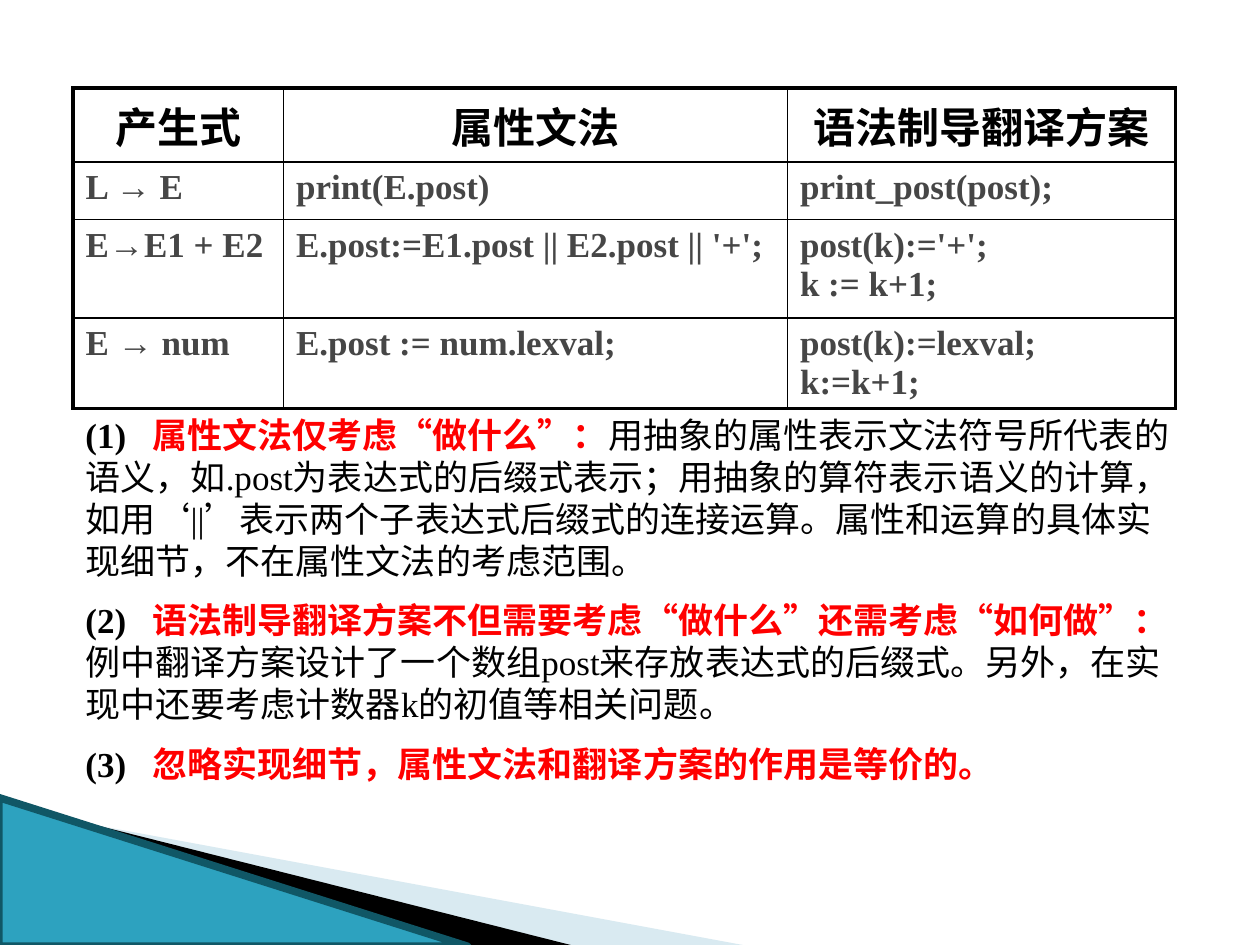
from dataclasses import dataclass

from lxml import etree
from pptx import Presentation
from pptx import util as u
from pptx.dml.color import RGBColor
from pptx.enum import shapes, text
from pptx.oxml import ns

WIDE, HIGH = u.Inches(10), u.Inches(7.5)
BLACK = RGBColor(0, 0, 0)
RED = RGBColor(0xFF, 0, 0)
GREY = RGBColor(0x46, 0x46, 0x46)
TEAL = RGBColor(0x2D, 0xA2, 0xBF)
DEEP = RGBColor(0x10, 0x57, 0x66)
PALE = RGBColor(0xA0, 0xCB, 0xDC)
SKY = RGBColor(0x97, 0xC5, 0xD8)
SERIF, SANS = "Times New Roman", "Noto Sans CJK SC"
MID, LEFT, JUST = text.PP_ALIGN.CENTER, text.PP_ALIGN.LEFT, text.PP_ALIGN.JUSTIFY
COLS = (1.67, 4, 3.08)
ROWS = (0.58, 0.46, 0.78, 0.71)


@dataclass
class Entry:
    lines: tuple
    align: int = JUST


@dataclass
class Point:
    mark: str
    lead: str
    rest: str = ""


@dataclass
class Wedge:
    frame: tuple
    dots: tuple
    fill: RGBColor
    alpha: int = 100


GRID = (
    (Entry(("产生式",), MID), Entry(("属性文法",), MID), Entry(("语法制导翻译方案",), MID)),
    (Entry(("L → E",), LEFT), Entry(("print(E.post)",)), Entry(("print_post(post);",), LEFT)),
    (Entry(("E→E1 + E2",), LEFT), Entry(("E.post:=E1.post || E2.post || '+';",)),
     Entry(("post(k):='+';", "k := k+1;"))),
    (Entry(("E → num",)), Entry(("E.post := num.lexval;",)), Entry(("post(k):=lexval; k:=k+1;",))),
)
POINTS = (
    Point("(1)", "属性文法仅考虑“做什么”：",
          "用抽象的属性表示文法符号所代表的语义，如.post为表达式的后缀式表示；"
          "用抽象的算符表示语义的计算，如用‘||’表示两个子表达式后缀式的连接运算。"
          "属性和运算的具体实现细节，不在属性文法的考虑范围。"),
    Point("(2)", "语法制导翻译方案不但需要考虑“做什么”还需考虑“如何做”：",
          "例中翻译方案设计了一个数组post来存放表达式的后缀式。"
          "另外，在实现中还要考虑计数器k的初值等相关问题。"),
    Point("(3)", "忽略实现细节，属性文法和翻译方案的作用是等价的。"),
)
WEDGES = (
    Wedge((0.78, 5.47, 4.16, 1.58),
          ((0.55, 6.51), (5.95, 7.51), (4.56, 7.51), (0.55, 6.5)), PALE, 40),
    Wedge((-0.06, 6.33, 4.16, 0.92),
          ((0.53, 6.49), (4.57, 7.51), (3.72, 7.52), (0.54, 6.5)), BLACK),
)


def sub(node, tag: str, **attrs):
    return etree.SubElement(node, ns.qn(tag), **attrs)


def write(para, words: str, size: float = 20, color: RGBColor = BLACK, bold: bool = True) -> None:
    run = para.add_run()
    run.text = words
    font = run.font
    font.name, font.size, font.bold = SERIF, u.Pt(size), bold
    font.color.rgb = color
    sub(font._element, "a:ea", typeface=SANS)


def edge(cell, side: str, width: float) -> None:
    line = sub(cell._tc.get_or_add_tcPr(), "a:ln" + side, w=str(u.Pt(width)))
    sub(sub(line, "a:solidFill"), "a:srgbClr", val=str(BLACK))


def fill_cell(cell, entry: Entry, row: int, col: int) -> None:
    outer = {"L": col == 0, "R": col == len(COLS) - 1,
             "T": row == 0, "B": row == len(ROWS) - 1}
    for side, thick in outer.items():
        edge(cell, side, 2.25 if thick else 1)
    cell.fill.background()
    frame = cell.text_frame
    for i, words in enumerate(entry.lines):
        para = frame.add_paragraph() if i else frame.paragraphs[0]
        para.alignment = entry.align
        write(para, words, size=20 if row else 24, color=GREY if row else BLACK)


def draw_table(slide) -> None:
    frame = slide.shapes.add_table(len(ROWS), len(COLS), u.Inches(0.58), u.Inches(0.7),
                                   u.Inches(sum(COLS)), u.Inches(sum(ROWS)))
    table = frame.table
    table.first_row = table.horz_banding = False
    for col, width in zip(table.columns, COLS):
        col.width = u.Inches(width)
    for row, height in zip(table.rows, ROWS):
        row.height = u.Inches(height)
    for r, line in enumerate(GRID):
        for c, entry in enumerate(line):
            fill_cell(table.cell(r, c), entry, r, c)


def draw_points(slide) -> None:
    box = slide.shapes.add_textbox(u.Inches(0.58), u.Inches(3.23), u.Inches(8.92), u.Inches(3.1))
    frame = box.text_frame
    frame.word_wrap = True
    for i, point in enumerate(POINTS):
        para = frame.add_paragraph() if i else frame.paragraphs[0]
        tabs = sub(para._p.get_or_add_pPr(), "a:tabLst")
        sub(tabs, "a:tab", pos=str(u.Inches(0.53)), algn="l")
        para.line_spacing = u.Pt(24)
        if i:
            para.space_before = u.Pt(10)
        write(para, point.mark + "\t")
        write(para, point.lead, color=RED)
        if point.rest:
            write(para, point.rest, bold=False)


def set_frame(shape, frame: tuple) -> None:
    left, top, wide, high = (u.Inches(n) for n in frame)
    right, down = shape.left - left, shape.top - top
    track = shape._element.spPr.find(".//" + ns.qn("a:path"))
    track.set("w", str(wide))
    track.set("h", str(high))
    for dot in track.iter(ns.qn("a:pt")):
        dot.set("x", str(int(dot.get("x")) + right))
        dot.set("y", str(int(dot.get("y")) + down))
    shape.left, shape.top, shape.width, shape.height = left, top, wide, high


def draw_wedge(slide, wedge: Wedge) -> None:
    dots = [(u.Inches(x), u.Inches(y)) for x, y in wedge.dots]
    pen = slide.shapes.build_freeform(*dots[0])
    pen.add_line_segments(dots[1:])
    shape = pen.convert_to_shape()
    set_frame(shape, wedge.frame)
    shape.shadow.inherit = False
    shape.line.fill.background()
    shape.fill.solid()
    shape.fill.fore_color.rgb = wedge.fill
    if wedge.alpha < 100:
        tint = shape._element.spPr.find(".//" + ns.qn("a:srgbClr"))
        sub(tint, "a:alpha", val=str(wedge.alpha * 1000))


def draw_corner(slide) -> None:
    for wedge in WEDGES:
        draw_wedge(slide, wedge)
    left, top = u.Inches(-0.01), u.Inches(6.33)
    wide, high = u.Inches(3.72), u.Inches(1.18)
    line = slide.shapes.add_connector(shapes.MSO_CONNECTOR.STRAIGHT,
                                      left, top, left + wide, top + high)
    line.line.color.rgb, line.line.width = SKY, u.Pt(0.95)
    sub(line._element.spPr, "a:effectLst")
    front = slide.shapes.add_shape(shapes.MSO_SHAPE.RIGHT_TRIANGLE, left, top, wide, high)
    front.shadow.inherit = False
    front.fill.solid()
    front.fill.fore_color.rgb = TEAL
    front.line.color.rgb, front.line.width = DEEP, u.Pt(4.33)


def main() -> None:
    deck = Presentation()
    deck.slide_width, deck.slide_height = WIDE, HIGH
    slide = deck.slides.add_slide(deck.slide_layouts[6])
    draw_corner(slide)
    draw_table(slide)
    draw_points(slide)
    deck.save("out.pptx")


if __name__ == "__main__":
    main()
